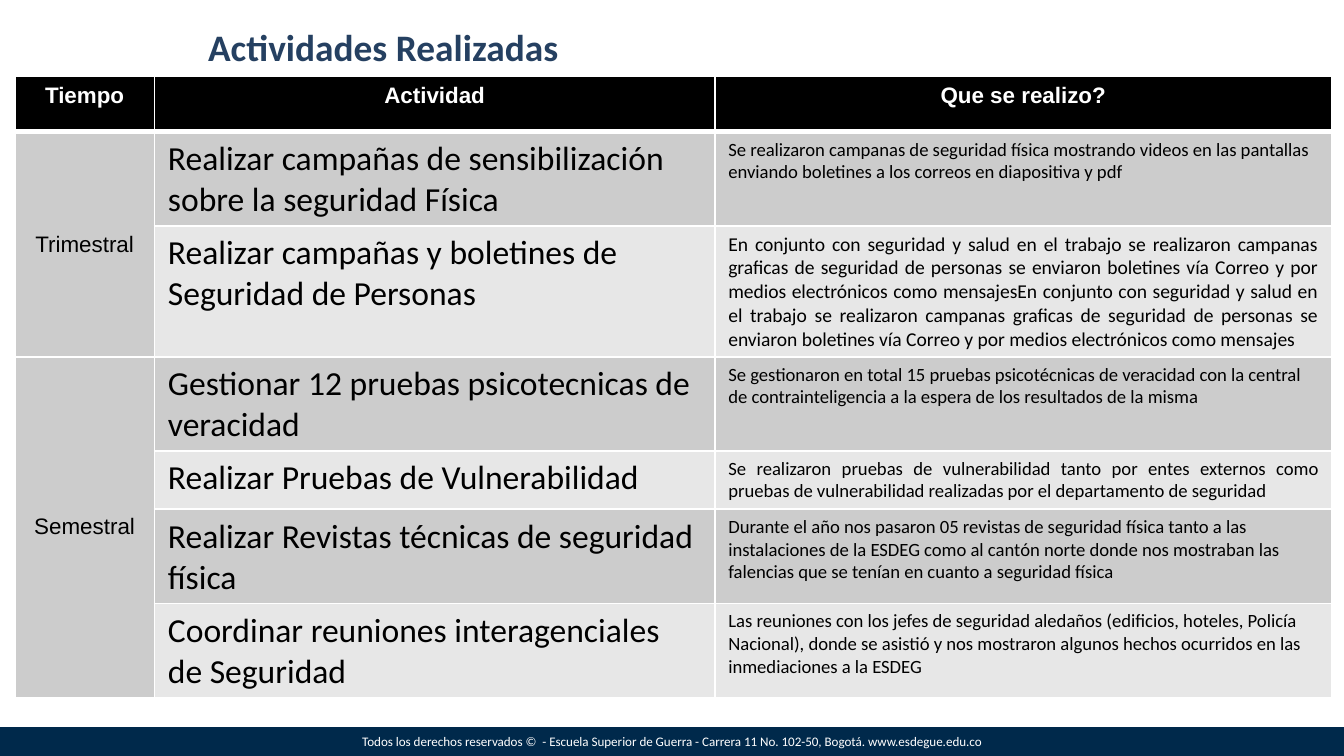
from lxml import etree
from pptx import Presentation
from pptx.dml.color import RGBColor
from pptx.enum.shapes import MSO_SHAPE
from pptx.enum.text import MSO_ANCHOR, PP_ALIGN
from pptx.oxml.ns import qn
from pptx.util import Inches, Pt

RECTANGLE = MSO_SHAPE.RECTANGLE
MIDDLE = MSO_ANCHOR.MIDDLE
TOP = MSO_ANCHOR.TOP
LEFT = PP_ALIGN.LEFT
CENTER = PP_ALIGN.CENTER
JUSTIFY = PP_ALIGN.JUSTIFY

COLORS = {
    "white": "FFFFFF",
    "black": "000000",
    "navy": "00294B",
    "title": "254061",
    "dark_band": "CCCCCC",
    "light_band": "E7E7E7",
}

COLUMN_WIDTHS = [1.04, 4.17, 4.59]
ROW_HEIGHT = 0.41
TABLE_HEIGHT = 4.61
HEADERS = ["Tiempo", "Actividad", "Que se realizo?"]
PERIODS = [("Trimestral", 1, 2), ("Semestral", 3, 6)]
ACTIVITIES = [
    ("Realizar campañas de sensibilización sobre la seguridad Física",
     "Se realizaron campanas de seguridad física mostrando videos en las pantallas "
     "enviando boletines a los correos en diapositiva y pdf", 10, LEFT),
    ("Realizar campañas y boletines de Seguridad de Personas",
     "En conjunto con seguridad y salud en el trabajo se realizaron campanas graficas "
     "de seguridad de personas se enviaron boletines vía Correo y por medios "
     "electrónicos como mensajesEn conjunto con seguridad y salud en el trabajo se "
     "realizaron campanas graficas de seguridad de personas se enviaron boletines vía "
     "Correo y por medios electrónicos como mensajes", 10.5, JUSTIFY),
    ("Gestionar 12 pruebas psicotecnicas de veracidad",
     "Se gestionaron en total 15 pruebas psicotécnicas de veracidad con la central de "
     "contrainteligencia a la espera de los resultados de la misma", 10, LEFT),
    ("Realizar Pruebas de Vulnerabilidad",
     "Se realizaron pruebas de vulnerabilidad tanto por entes externos como pruebas de "
     "vulnerabilidad realizadas por el departamento de seguridad", 10, JUSTIFY),
    ("Realizar Revistas técnicas de seguridad física",
     "Durante el año nos pasaron 05 revistas de seguridad física tanto a las "
     "instalaciones de la ESDEG como al cantón norte donde nos mostraban las falencias "
     "que se tenían en cuanto a seguridad física", 10, LEFT),
    ("Coordinar reuniones interagenciales de Seguridad",
     "Las reuniones con los jefes de seguridad aledaños (edificios, hoteles, Policía "
     "Nacional), donde se asistió y nos mostraron algunos hechos ocurridos en las "
     "inmediaciones a la ESDEG", 10, LEFT),
]


def rgb(name):
    return RGBColor.from_string(COLORS[name])


def write_text(text_frame, text, size, font="Calibri", color="black", bold=False, align=LEFT):
    text_frame.text = text
    paragraph = text_frame.paragraphs[0]
    paragraph.alignment = align
    run_font = paragraph.runs[0].font
    run_font.name = font
    run_font.size = Pt(size)
    run_font.bold = bold
    run_font.color.rgb = rgb(color)


def add_text(slide, box, text, size, **style):
    shape = slide.shapes.add_textbox(*map(Inches, box))
    shape.text_frame.word_wrap = True
    write_text(shape.text_frame, text, size, **style)


def add_bar(slide, box, color):
    shape = slide.shapes.add_shape(RECTANGLE, *map(Inches, box))
    shape.shadow.inherit = False
    shape.fill.solid()
    shape.fill.fore_color.rgb = rgb(color)
    shape.line.fill.background()


def style_cell(cell, fill, bottom_width=1):
    properties = cell._tc.get_or_add_tcPr()
    for side, width in (("lnL", 1), ("lnR", 1), ("lnT", 1), ("lnB", bottom_width)):
        line = etree.SubElement(properties, qn(f"a:{side}"), w=str(Pt(width)))
        solid_fill = etree.SubElement(line, qn("a:solidFill"))
        etree.SubElement(solid_fill, qn("a:srgbClr"), val=COLORS["white"])
    cell.fill.solid()
    cell.fill.fore_color.rgb = rgb(fill)


def fill_cell(cell, text, size, anchor=TOP, **style):
    cell.vertical_anchor = anchor
    write_text(cell.text_frame, text, size, **style)


def add_activity_table(slide):
    row_count = len(ACTIVITIES) + 1
    box = (0.11, 0.57, sum(COLUMN_WIDTHS), ROW_HEIGHT * row_count)
    frame = slide.shapes.add_table(row_count, len(HEADERS), *map(Inches, box))
    table = frame.table
    for column, width in zip(table.columns, COLUMN_WIDTHS):
        column.width = Inches(width)
    frame.height = Inches(TABLE_HEIGHT)

    for column, header in enumerate(HEADERS):
        cell = table.cell(0, column)
        style_cell(cell, "black", bottom_width=3)
        fill_cell(cell, header, 12, font="Arial", color="white", bold=True, align=CENTER)

    for row, (activity, result, size, align) in enumerate(ACTIVITIES, start=1):
        band = "dark_band" if row % 2 else "light_band"
        for column, fill in enumerate(("dark_band", band, band)):
            style_cell(table.cell(row, column), fill)
        fill_cell(table.cell(row, 1), activity, 18)
        fill_cell(table.cell(row, 2), result, size, align=align)

    for period, first_row, last_row in PERIODS:
        cell = table.cell(first_row, 0)
        cell.merge(table.cell(last_row, 0))
        fill_cell(cell, period, 12, anchor=MIDDLE, font="Arial", align=CENTER)


def main():
    presentation = Presentation()
    presentation.slide_width = Inches(10)
    presentation.slide_height = Inches(10 * 9 / 16)
    slide = presentation.slides.add_slide(presentation.slide_layouts[6])

    add_bar(slide, (0, 5.41, 10, 0.24), "navy")
    add_text(slide, (0, 5.41, 10, 0.22),
             "Todos los derechos reservados ©  - Escuela Superior de Guerra - "
             "Carrera 11 No. 102-50, Bogotá. www.esdegue.edu.co",
             7, color="white", align=CENTER)
    add_text(slide, (1.45, 0.13, 8.09, 0.36), "Actividades Realizadas",
             20, color="title", bold=True)
    add_activity_table(slide)

    presentation.save("out.pptx")


if __name__ == "__main__":
    main()
